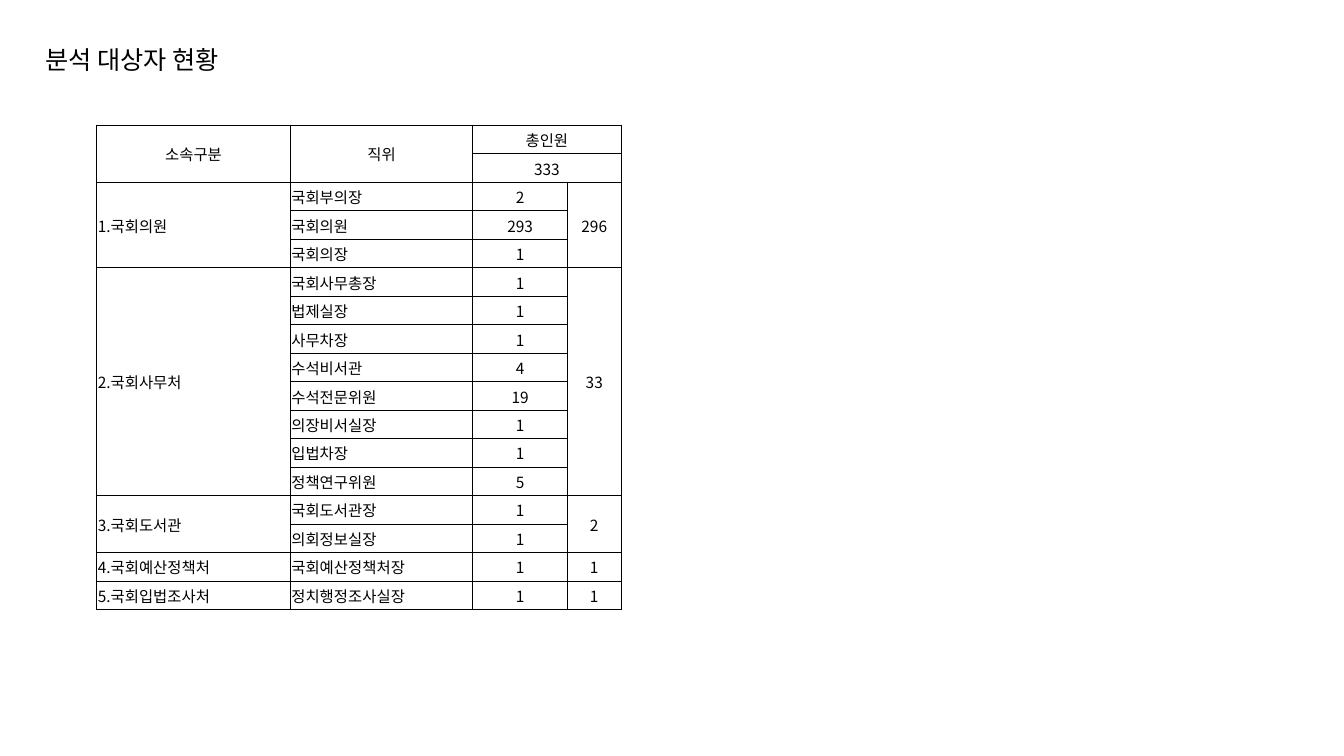
from lxml.etree import SubElement
from pptx import Presentation
from pptx.dml.color import RGBColor
from pptx.enum.text import MSO_ANCHOR as Anchor, MSO_AUTO_SIZE as AutoSize, PP_ALIGN as Align
from pptx.oxml.ns import qn
from pptx.util import Inches, Pt

FONT = "Noto Sans CJK KR"
BLACK = "000000"
COLUMN_WIDTHS = [1.92, 1.81, 0.94, 0.53]
HEADER_ROWS = 2
GROUPS = [
    ("1.국회의원", [("국회부의장", 2), ("국회의원", 293), ("국회의장", 1)]),
    ("2.국회사무처", [
        ("국회사무총장", 1), ("법제실장", 1), ("사무차장", 1), ("수석비서관", 4),
        ("수석전문위원", 19), ("의장비서실장", 1), ("입법차장", 1), ("정책연구위원", 5),
    ]),
    ("3.국회도서관", [("국회도서관장", 1), ("의회정보실장", 1)]),
    ("4.국회예산정책처", [("국회예산정책처장", 1)]),
    ("5.국회입법조사처", [("정치행정조사실장", 1)]),
]


def color(hex_string):
    return RGBColor.from_string(hex_string)


def write_text(frame, text, size=11, align=Align.LEFT, hex_color=BLACK):
    paragraph = frame.paragraphs[0]
    paragraph.alignment = align
    run = paragraph.add_run()
    run.text = text
    run.font.size = Pt(size)
    run.font.name = FONT
    run.font.color.rgb = color(hex_color)
    SubElement(run.font._element, qn("a:ea"), typeface=FONT)


def add_title(slide, left, top, width, height):
    shape = slide.shapes.add_textbox(Inches(left), Inches(top), Inches(width), Inches(height))
    shape.text_frame.word_wrap = False
    shape.text_frame.auto_size = AutoSize.SHAPE_TO_FIT_TEXT
    write_text(shape.text_frame, "분석 대상자 현황", size=18)


def style_cell(cell, width=0.5, hex_color=BLACK):
    """Give the cell thin borders, narrow margins and no fill."""
    properties = cell._tc.get_or_add_tcPr()
    for side in ("lnL", "lnR", "lnT", "lnB"):
        line = SubElement(properties, qn(f"a:{side}"), w=str(Pt(width)))
        fill = SubElement(line, qn("a:solidFill"))
        SubElement(fill, qn("a:srgbClr"), val=hex_color)
    cell.fill.background()
    cell.vertical_anchor = Anchor.MIDDLE
    cell.margin_left = cell.margin_right = cell.margin_top = Inches(0.01)
    cell.margin_bottom = 0


def fill_cell(table, row, column, value, rows=1, columns=1, align=Align.CENTER):
    """Write a value into a cell that spans the given rows and columns."""
    cell = table.cell(row, column)
    if rows > 1 or columns > 1:
        cell.merge(table.cell(row + rows - 1, column + columns - 1))
    write_text(cell.text_frame, str(value), align=align)


def add_headcount_table(slide, left, top, width, height):
    row_count = HEADER_ROWS + sum(len(positions) for _, positions in GROUPS)
    table = slide.shapes.add_table(
        row_count, len(COLUMN_WIDTHS), Inches(left), Inches(top), Inches(width), Inches(height)
    ).table
    table.first_row = table.horz_banding = False
    for column, column_width in zip(table.columns, COLUMN_WIDTHS):
        column.width = Inches(column_width * width / sum(COLUMN_WIDTHS))
    for row in table.rows:
        row.height = Inches(height / row_count)
    for cell in table.iter_cells():
        style_cell(cell)

    total = sum(count for _, positions in GROUPS for _, count in positions)
    fill_cell(table, 0, 0, "소속구분", rows=HEADER_ROWS)
    fill_cell(table, 0, 1, "직위", rows=HEADER_ROWS)
    fill_cell(table, 0, 2, "총인원", columns=2)
    fill_cell(table, 1, 2, total, columns=2)

    row = HEADER_ROWS
    for group, positions in GROUPS:
        fill_cell(table, row, 0, group, rows=len(positions), align=Align.LEFT)
        fill_cell(table, row, 3, sum(count for _, count in positions), rows=len(positions))
        for position, count in positions:
            fill_cell(table, row, 1, position, align=Align.LEFT)
            fill_cell(table, row, 2, count)
            row += 1


def main():
    presentation = Presentation()
    presentation.slide_width = Inches(13.33)
    presentation.slide_height = Inches(7.5)
    slide = presentation.slides.add_slide(presentation.slide_layouts[6])
    add_title(slide, 0.35, 0.39, 2.15, 0.4)
    add_headcount_table(slide, 0.96, 1.24, 5.2, 4.81)
    presentation.save("out.pptx")


if __name__ == "__main__":
    main()
